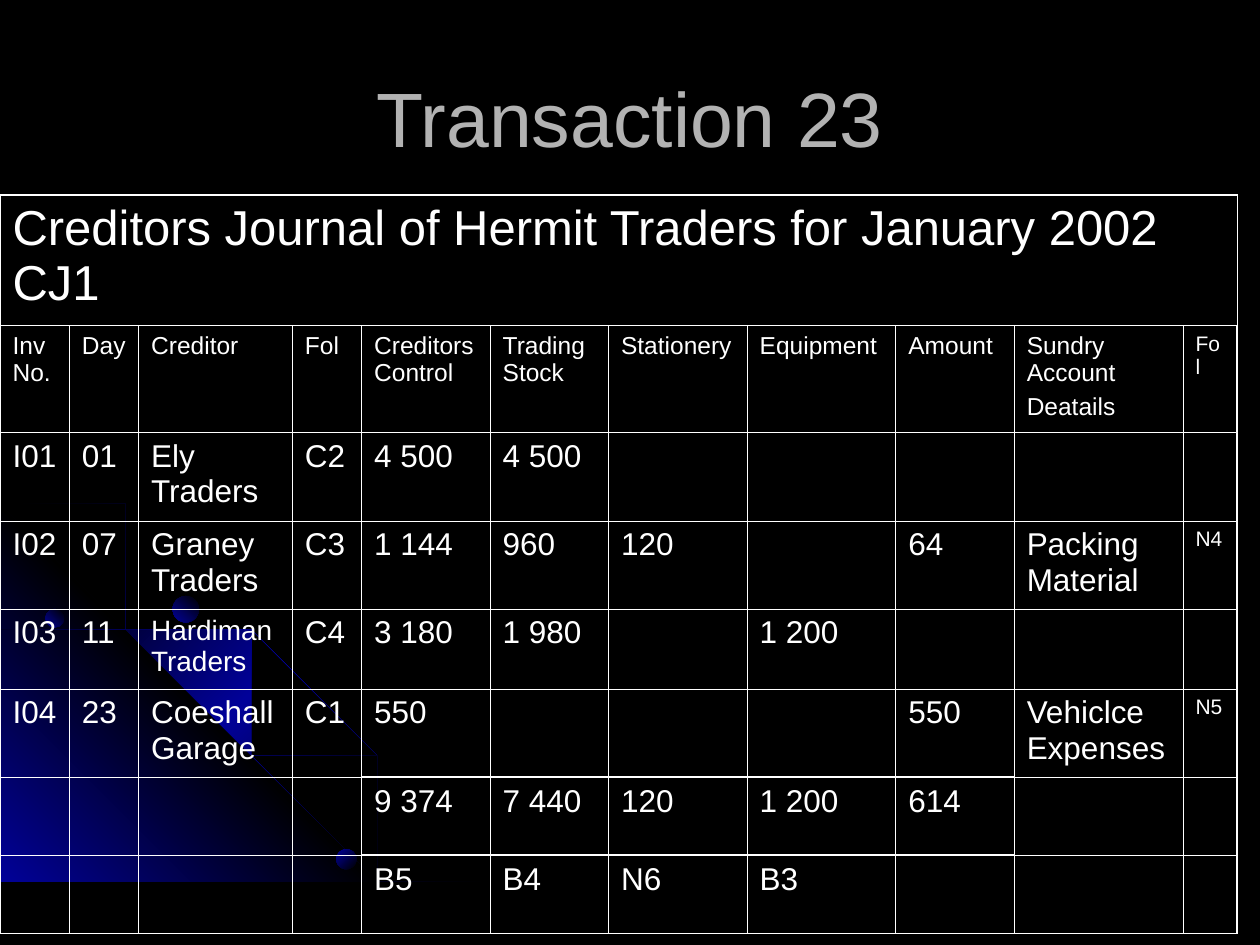
from dataclasses import dataclass

from lxml import etree
from pptx import Presentation
from pptx.dml.color import RGBColor
from pptx.enum.shapes import MSO_SHAPE
from pptx.enum.text import MSO_ANCHOR, PP_ALIGN
from pptx.oxml.ns import qn
from pptx.util import Inches, Pt

OVAL = MSO_SHAPE.OVAL
MIDDLE = MSO_ANCHOR.MIDDLE
LEFT, CENTER = PP_ALIGN.LEFT, PP_ALIGN.CENTER

COLORS = {"black": "000000", "blue": "010199", "title": "B2B2B2", "white": "FFFFFF"}
FONT = "Arial"
THIN, FRAME, TOTAL = 0.45, 1.08, 1.47
TOTAL_COLUMNS = range(4, 9)
TOTAL_EDGES = (6, 7)

GLOW = ("black", "blue", "black")
WEDGE = ("blue", "black", "blue")
DOT = ("black", "blue")


@dataclass
class Outline:
    points: list[tuple[float, float]]
    stops: tuple[str, ...]
    angle: int


@dataclass
class Dot:
    left: float
    top: float
    size: float
    angle: int


OUTLINES = [
    Outline([(0.57, 4.47), (0.28, 4.41), (0, 4.35), (0, 4.38), (0.28, 4.43), (0.56, 4.49),
             (0.97, 4.61), (1.35, 4.78), (1.73, 4.99), (2.08, 5.23), (2.41, 5.49), (2.71, 5.79),
             (2.98, 6.12), (3.23, 6.49), (3.37, 6.73), (3.5, 6.98), (3.6, 7.23), (3.7, 7.49),
             (3.72, 7.49), (3.62, 7.23), (3.52, 6.98), (3.39, 6.73), (3.25, 6.48), (3, 6.11),
             (2.72, 5.78), (2.42, 5.48), (2.09, 5.21), (1.74, 4.97), (1.36, 4.77), (0.98, 4.59)],
            GLOW, 225),
    Outline([(3.22, 7.49), (0, 7.49), (0, 4.27)], WEDGE, 135),
    Outline([(2.85, 7.14), (2.94, 7.32), (3.01, 7.49), (3.03, 7.49), (2.96, 7.3), (2.86, 7.12),
             (2.66, 6.76), (2.42, 6.4), (2.15, 6.06), (1.84, 5.76), (1.52, 5.49), (1.17, 5.26),
             (0.79, 5.05), (0.41, 4.88), (0, 4.75), (0, 4.77), (0.39, 4.9), (0.77, 5.07),
             (1.15, 5.28), (1.5, 5.51), (1.83, 5.78), (2.13, 6.08), (2.4, 6.42), (2.65, 6.77)],
            GLOW, 225),
    Outline([(0, 4.42), (0, 4.44), (0.36, 4.57), (0.74, 4.75), (1.09, 4.94), (1.42, 5.18),
             (1.73, 5.44), (2.02, 5.75), (2.27, 6.05), (2.52, 6.41), (2.67, 6.67), (2.8, 6.94),
             (2.92, 7.22), (3.01, 7.49), (3.03, 7.49), (2.94, 7.2), (2.82, 6.93), (2.69, 6.65),
             (2.54, 6.39), (2.29, 6.03), (2.04, 5.73), (1.75, 5.43), (1.44, 5.16), (1.11, 4.93),
             (0.76, 4.73), (0.39, 4.55)],
            GLOW, 225),
]
DOTS = [Dot(0.36, 4.83, 0.15, 135), Dot(2.67, 6.74, 0.16, 225), Dot(1.37, 4.73, 0.21, 135)]

COLUMN_WIDTHS = [0.55, 0.55, 1.22, 0.55, 1.02, 0.94, 1.1, 1.18, 0.94, 1.34, 0.43]
ROW_HEIGHTS = [1.03, 0.84, 0.7, 0.7, 0.63, 0.7, 0.62, 0.62]
JOURNAL = [
    ["Creditors Journal of Hermit Traders for January 2002 CJ1"] + [""] * 10,
    ["Inv No.", "Day", "Creditor", "Fol", "Creditors Control", "Trading Stock", "Stationery",
     "Equipment", "Amount", "Sundry Account\nDeatails", "Fol"],
    ["I01", "01", "Ely Traders", "C2", "4 500", "4 500", "", "", "", "", ""],
    ["I02", "07", "Graney Traders", "C3", "1 144", "960", "120", "", "64",
     "Packing Material", "N4"],
    ["I03", "11", "Hardiman Traders", "C4", "3 180", "1 980", "", "1 200", "", "", ""],
    ["I04", "23", "Coeshall Garage", "C1", "550", "", "", "", "550",
     "Vehiclce Expenses", "N5"],
    ["", "", "", "", "9 374", "7 440", "120", "1 200", "614", "", ""],
    ["", "", "", "", "B5", "B4", "N6", "B3", "", "", ""],
]
LAST_ROW, LAST_COLUMN = len(ROW_HEIGHTS) - 1, len(COLUMN_WIDTHS) - 1
ROW_SIZES = {0: 28, 1: 14}
SPECIAL_SIZES = {(4, 2): 16}


def write_text(frame, text: str, *, size: float, color: str, align=LEFT) -> None:
    frame.word_wrap = True
    for index, line in enumerate(text.split("\n")):
        para = frame.paragraphs[0] if index == 0 else frame.add_paragraph()
        para.alignment = align
        if index:
            para.space_before = Pt(size / 4)
        span = para.add_run()
        span.text = line
        span.font.name = FONT
        span.font.size = Pt(size)
        span.font.color.rgb = RGBColor.from_string(COLORS[color])


def paint_gradient(shape, stops: tuple[str, ...], angle: int) -> None:
    shape.shadow.inherit = False
    shape.line.fill.background()
    shape.fill.gradient()
    gradient = shape.fill._xPr.find(qn("a:gradFill"))
    stop_list = gradient.find(qn("a:gsLst"))
    for old_stop in list(stop_list):
        stop_list.remove(old_stop)
    for index, name in enumerate(stops):
        position = str(100000 * index // (len(stops) - 1))
        stop = etree.SubElement(stop_list, qn("a:gs"), pos=position)
        etree.SubElement(stop, qn("a:srgbClr"), val=COLORS[name])
    gradient.find(qn("a:lin")).set("ang", str(angle * 60000))


def draw_outline(page, outline: Outline) -> None:
    start, *rest = outline.points
    builder = page.shapes.build_freeform(*start, scale=Inches(1))
    builder.add_line_segments(rest, close=True)
    paint_gradient(builder.convert_to_shape(), outline.stops, outline.angle)


def draw_dot(page, dot: Dot) -> None:
    shape = page.shapes.add_shape(OVAL, Inches(dot.left), Inches(dot.top),
                                  Inches(dot.size), Inches(dot.size))
    paint_gradient(shape, DOT, dot.angle)


def horizontal_width(edge: int, column: int) -> float:
    if edge in (0, LAST_ROW + 1):
        return FRAME
    return TOTAL if edge in TOTAL_EDGES and column in TOTAL_COLUMNS else THIN


def vertical_width(edge: int) -> float:
    return FRAME if edge in (0, LAST_COLUMN + 1) else THIN


def draw_borders(cell, row: int, column: int) -> None:
    properties = cell._tc.get_or_add_tcPr()
    widths = {
        "a:lnL": vertical_width(column),
        "a:lnR": vertical_width(column + 1),
        "a:lnT": horizontal_width(row, column),
        "a:lnB": horizontal_width(row + 1, column),
    }
    for tag, width in widths.items():
        line = etree.SubElement(properties, qn(tag), w=str(Pt(width)))
        fill = etree.SubElement(line, qn("a:solidFill"))
        etree.SubElement(fill, qn("a:srgbClr"), val=COLORS["white"])


def text_size(row: int, column: int) -> int:
    if row and column == LAST_COLUMN:
        return 12
    return SPECIAL_SIZES.get((row, column), ROW_SIZES.get(row, 18))


def draw_journal(page) -> None:
    table = page.shapes.add_table(len(ROW_HEIGHTS), len(COLUMN_WIDTHS), Inches(0), Inches(1.55),
                                  Inches(sum(COLUMN_WIDTHS)), Inches(sum(ROW_HEIGHTS))).table
    table.first_row = table.horz_banding = False
    for column, width in zip(table.columns, COLUMN_WIDTHS):
        column.width = Inches(width)
    for row, height in zip(table.rows, ROW_HEIGHTS):
        row.height = Inches(height)
    table.cell(0, 0).merge(table.cell(0, LAST_COLUMN))
    for row, texts in enumerate(JOURNAL):
        for column, text in enumerate(texts):
            cell = table.cell(row, column)
            draw_borders(cell, row, column)
            cell.fill.background()
            if text:
                write_text(cell.text_frame, text, size=text_size(row, column), color="white")


def main() -> None:
    deck = Presentation()
    deck.slide_width, deck.slide_height = Inches(10), Inches(7.5)
    page = deck.slides.add_slide(deck.slide_layouts[6])
    page.background.fill.solid()
    page.background.fill.fore_color.rgb = RGBColor.from_string(COLORS["black"])
    for outline in OUTLINES:
        draw_outline(page, outline)
    for dot in DOTS:
        draw_dot(page, dot)
    title = page.shapes.add_textbox(Inches(0.5), Inches(0.3), Inches(9), Inches(1.25))
    title.text_frame.vertical_anchor = MIDDLE
    write_text(title.text_frame, "Transaction 23", size=44, color="title", align=CENTER)
    draw_journal(page)
    deck.save("out.pptx")


if __name__ == "__main__":
    main()
